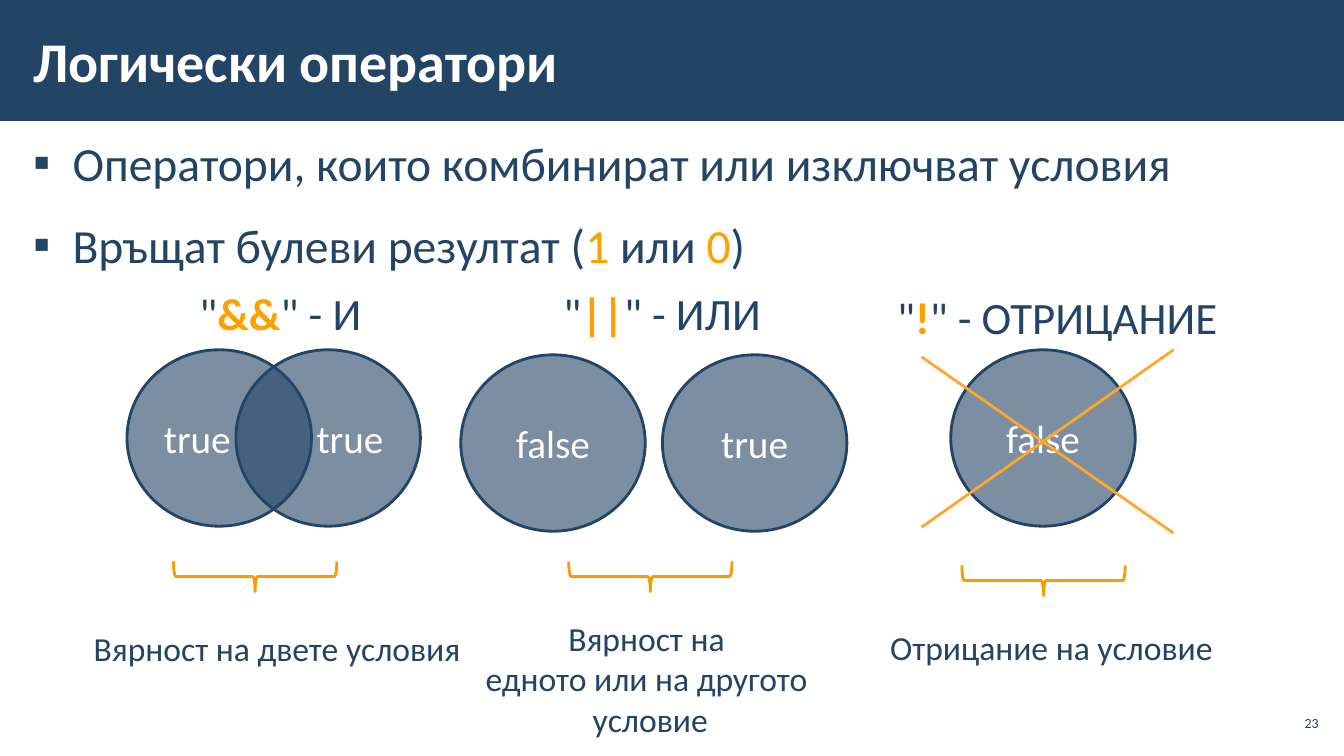
from dataclasses import dataclass

from lxml import etree
from pptx import Presentation
from pptx.dml.color import RGBColor
from pptx.enum.shapes import MSO_CONNECTOR, MSO_SHAPE
from pptx.enum.text import MSO_ANCHOR, MSO_AUTO_SIZE, PP_ALIGN
from pptx.oxml.ns import qn
from pptx.util import Inches, Pt

LEFT, CENTER, RIGHT = PP_ALIGN.LEFT, PP_ALIGN.CENTER, PP_ALIGN.RIGHT
TOP, MIDDLE = MSO_ANCHOR.TOP, MSO_ANCHOR.MIDDLE
NO_AUTOFIT = MSO_AUTO_SIZE.NONE
RECTANGLE, OVAL, BRACE = MSO_SHAPE.RECTANGLE, MSO_SHAPE.OVAL, MSO_SHAPE.RIGHT_BRACE
STRAIGHT = MSO_CONNECTOR.STRAIGHT


@dataclass(frozen=True)
class Theme:
    font: str = "Calibri"
    navy: str = "234465"
    white: str = "FFFFFF"
    accent: str = "FFA000"
    brace: str = "F99C00"
    cross: str = "FFA72A"
    title_size: int = 40
    body_size: int = 34
    operator_size: int = 32
    circle_size: int = 28
    caption_size: int = 24
    number_size: int = 10
    line_width: int = 2
    circle_opacity: int = 60


THEME = Theme()

TITLE = "Логически оператори"
SLIDE_NUMBER = "23"
BULLETS = [
    [("Оператори, които комбинират или изключват условия", False)],
    [("Връщат булеви резултат (", False), ("1", True), (" или ", False),
     ("0", True), (")", False)],
]
OPERATORS = [
    {
        "symbol": "&&", "name": "И", "label_box": (1.88, 2.79, 1.8, 0.64),
        "circle_top": 3.47,
        "circles": [(1.26, "true", LEFT), (2.34, "true", RIGHT)],
        "brace_center": (2.53, 5.72),
        "caption": ["Вярност на двете условия"],
        "caption_box": (0.83, 6.18, 3.87, 0.5), "caption_align": LEFT,
    },
    {
        "symbol": "||", "name": "ИЛИ", "label_box": (5.49, 2.79, 2.17, 0.64),
        "circle_top": 3.52,
        "circles": [(4.57, "false", CENTER), (6.57, "true", CENTER)],
        "brace_center": (6.45, 5.72),
        "caption": ["Вярност на ", "едното или на другото ", "условие"],
        "caption_box": (4.7, 6.08, 3.5, 1.31), "caption_align": CENTER,
    },
    {
        "symbol": "!", "name": "ОТРИЦАНИЕ", "label_box": (8.8, 2.83, 3.41, 0.64),
        "circle_top": 3.47,
        "circles": [(9.43, "false", CENTER)],
        "brace_center": (10.35, 5.76),
        "caption": ["Отрицание на условие"],
        "caption_box": (8.73, 6.17, 3.44, 0.5), "caption_align": LEFT,
    },
]
CROSS_LINES = [(11.64, 3.47, 9.14, 5.23), (11.64, 5.29, 9.14, 3.54)]
CIRCLE_SIZE = (1.83, 1.75)
BRACE_SIZE = (0.3, 1.62)
BULLET_INDENT = 0.39


def color(value):
    return RGBColor.from_string(value)


def apply_format(target, values):
    for name, value in values.items():
        setattr(target, name, value)


def place(shape, box):
    apply_format(shape, dict(zip(("left", "top", "width", "height"), map(Inches, box))))


def write_text(shape, lines, size, align=LEFT, anchor=TOP, wrap=True,
               base=THEME.navy, bold=False, bold_accent=False, margins=(0.1, 0.05)):
    frame = shape.text_frame
    side, edge = map(Inches, margins)
    apply_format(frame, {
        "auto_size": NO_AUTOFIT, "word_wrap": wrap, "vertical_anchor": anchor,
        "margin_left": side, "margin_right": side,
        "margin_top": edge, "margin_bottom": edge,
    })
    for index, line in enumerate(lines):
        paragraph = frame.paragraphs[0] if index == 0 else frame.add_paragraph()
        paragraph.alignment = align
        for text, accented in line:
            run = paragraph.add_run()
            run.text = text
            apply_format(run.font, {
                "name": THEME.font, "size": Pt(size),
                "bold": bold or (accented and bold_accent),
            })
            run.font.color.rgb = color(THEME.accent if accented else base)


def add_text(slide, box, lines, size, **options):
    write_text(slide.shapes.add_textbox(*map(Inches, box)), lines, size, **options)


def add_shape(slide, kind, box, fill=None, line=None):
    shape = slide.shapes.add_shape(kind, *map(Inches, box))
    shape.shadow.inherit = False
    if fill:
        shape.fill.solid()
        shape.fill.fore_color.rgb = color(fill)
    else:
        shape.fill.background()
    if line:
        shape.line.color.rgb = color(line)
        shape.line.width = Pt(THEME.line_width)
    else:
        shape.line.fill.background()
    return shape


def add_header(slide):
    title = slide.shapes.title
    place(title, (0.21, 0.11, 10.63, 0.97))
    write_text(title, [[(TITLE, False)]], THEME.title_size, anchor=MIDDLE,
               base=THEME.white, bold=True, margins=(0.12, 0.04))
    bar = add_shape(slide, RECTANGLE, (0, 0, 13.34, 1.2), fill=THEME.navy)
    title.element.addprevious(bar.element)


def add_bullets(slide):
    body = slide.placeholders[1]
    place(body, (0.21, 1.2, 12.91, 6.09))
    write_text(body, BULLETS, THEME.body_size, margins=(0.12, 0.04))
    for paragraph in body.text_frame.paragraphs:
        apply_format(paragraph, {
            "line_spacing": 1.15, "space_before": Pt(6), "space_after": Pt(6),
        })
        properties = paragraph._p.get_or_add_pPr()
        properties.set("marL", str(Inches(BULLET_INDENT)))
        properties.set("indent", str(-Inches(BULLET_INDENT)))
        etree.SubElement(properties, qn("a:buFont"), typeface=THEME.font)
        etree.SubElement(properties, qn("a:buChar"), char="▪")


def add_circle(slide, left, top, text, align):
    circle = add_shape(slide, OVAL, (left, top, *CIRCLE_SIZE), THEME.navy, THEME.navy)
    fill_color = circle.element.spPr.find(f"{qn('a:solidFill')}/{qn('a:srgbClr')}")
    etree.SubElement(fill_color, qn("a:alpha"), val=str(THEME.circle_opacity * 1000))
    write_text(circle, [[(text, False)]], THEME.circle_size, align=align,
               anchor=MIDDLE, base=THEME.white)


def add_operator(slide, operator):
    for left, text, align in operator["circles"]:
        add_circle(slide, left, operator["circle_top"], text, align)
    label = [('"', False), (operator["symbol"], True), (f'" - {operator["name"]}', False)]
    add_text(slide, operator["label_box"], [label], THEME.operator_size,
             wrap=False, bold_accent=True)
    center_x, center_y = operator["brace_center"]
    width, height = BRACE_SIZE
    brace = add_shape(slide, BRACE, (center_x - width / 2, center_y - height / 2,
                                     width, height), line=THEME.brace)
    brace.rotation = 90
    add_text(slide, operator["caption_box"], [[(text, False)] for text in operator["caption"]],
             THEME.caption_size, align=operator["caption_align"], wrap=False)


def add_cross(slide):
    for points in CROSS_LINES:
        connector = slide.shapes.add_connector(STRAIGHT, *map(Inches, points))
        connector.line.color.rgb = color(THEME.cross)
        connector.line.width = Pt(THEME.line_width)
        etree.SubElement(connector.element.spPr, qn("a:effectLst"))


def main():
    presentation = Presentation()
    apply_format(presentation, {"slide_width": Inches(13.33), "slide_height": Inches(7.5)})
    slide = presentation.slides.add_slide(presentation.slide_layouts[1])
    add_header(slide)
    add_bullets(slide)
    for operator in OPERATORS:
        add_operator(slide, operator)
    add_cross(slide)
    add_text(slide, (12.65, 7, 0.47, 0.34), [[(SLIDE_NUMBER, False)]], THEME.number_size,
             align=RIGHT, anchor=MIDDLE, margins=(0.04, 0.04))
    presentation.save("out.pptx")


if __name__ == "__main__":
    main()
